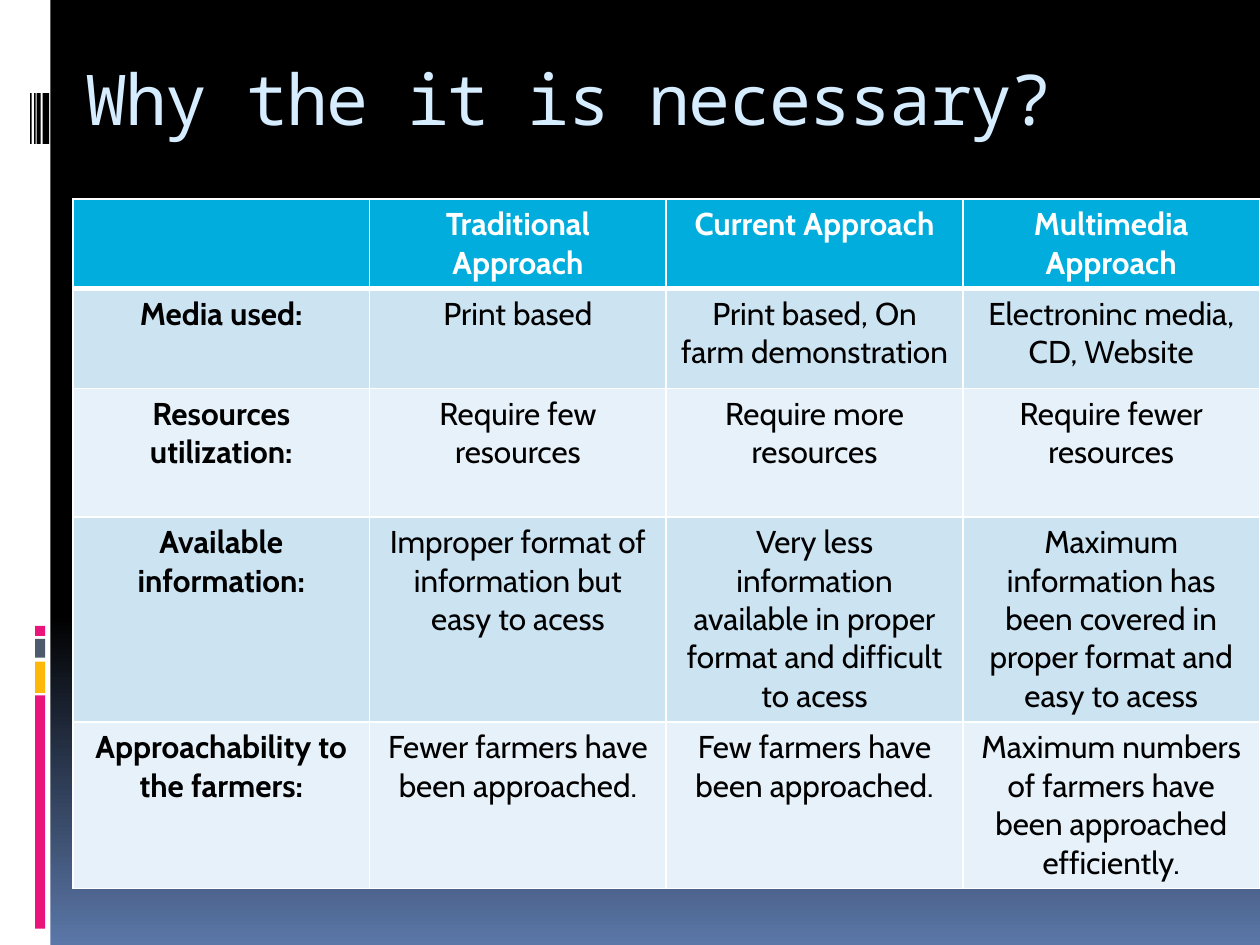
import pptx
import pptx.dml.color
import pptx.enum.shapes
import pptx.enum.text
import pptx.oxml
import pptx.oxml.ns
import pptx.util

Cm = pptx.util.Cm
Pt = pptx.util.Pt
ALIGN = pptx.enum.text.PP_ALIGN

BARS = [
    (0, 0, 1.02, 19.05, "FFFFFF"),
    (0.71, 14.02, 0.2, 4.7, "EA157A"),
    (0.71, 13.34, 0.2, 0.63, "FEB80A"),
    (0.71, 12.88, 0.2, 0.38, "4E5B6F"),
    (0.71, 12.62, 0.2, 0.2, "EA157A"),
]
TICKS = [(0.86, 0.13), (0.74, 0.08), (0.69, 0.03), (0.61, 0.03)]
ROWS = [
    ["", "Traditional Approach", "Current Approach", "Multimedia Approach"],
    ["Media used:", "Print based", "Print based, On farm demonstration",
     "Electroninc media, CD, Website"],
    ["Resources utilization:", "Require few resources",
     "Require more resources", "Require fewer resources"],
    ["Available information:",
     "Improper format of information but easy to acess",
     "Very less information available in proper format and difficult to acess",
     "Maximum information has been covered in proper format and easy to acess"],
    ["Approachability to the farmers:", "Fewer farmers have been approached.",
     "Few farmers have been approached.",
     "Maximum numbers of farmers have been approached efficiently."],
]
HEIGHTS = [1.81, 2.01, 2.59, 4.14, 3.35]


def color(code):
    return pptx.dml.color.RGBColor.from_string(code)


def write(frame, text, font="Cabin", size=18, ink="000000", bold=False,
          align=ALIGN.LEFT, space=0):
    para = frame.paragraphs[0]
    para.alignment = align
    run = para.add_run()
    run.text = text
    run.font.name = font
    run.font.size = Pt(size)
    run.font.bold = bold
    run.font.color.rgb = color(ink)
    if space:
        run.font._element.set("spc", str(space * 100))


class Page:
    head = "00ADDC"
    bands = ["E7F1F9", "CCE3F2"]
    edge = "FFFFFF"

    def __init__(self, slide):
        self.slide = slide

    def backdrop(self, top, base):
        fill = self.slide.background.fill
        fill.gradient()
        fill.gradient_angle = 270
        for stop, place, code in zip(fill.gradient_stops, (0.65, 1), (top, base)):
            stop.position = place
            stop.color.rgb = color(code)

    def bar(self, x, y, wide, high, code):
        shape = self.slide.shapes.add_shape(
            pptx.enum.shapes.MSO_SHAPE.RECTANGLE, Cm(x), Cm(y), Cm(wide), Cm(high))
        shape.shadow.inherit = False
        shape.fill.solid()
        shape.fill.fore_color.rgb = color(code)
        shape.line.fill.background()

    def title(self, text, x, y, wide, high):
        frame = self.slide.shapes.add_textbox(Cm(x), Cm(y), Cm(wide), Cm(high)).text_frame
        frame.word_wrap = True
        frame.margin_top = Cm(0.05)
        write(frame, text, font="Noto Sans Mono", size=40, ink="D6ECFF", space=-1)

    def border(self, cell, base):
        props = cell._tc.get_or_add_tcPr()
        for side, width in (("L", 1), ("R", 1), ("T", 1), ("B", base)):
            props.append(pptx.oxml.parse_xml(
                f'<a:ln{side} {pptx.oxml.ns.nsdecls("a")} w="{Pt(width)}">'
                f'<a:solidFill><a:srgbClr val="{self.edge}"/></a:solidFill></a:ln{side}>'))

    def table(self, rows, heights, x, y, wide):
        count = len(rows[0])
        grid = self.slide.shapes.add_table(
            len(rows), count, Cm(x), Cm(y), Cm(wide), Cm(sum(heights))).table
        for col in grid.columns:
            col.width = Cm(wide / count)
        for i, (row, high) in enumerate(zip(rows, heights)):
            grid.rows[i].height = Cm(high)
            for j, text in enumerate(row):
                cell = grid.cell(i, j)
                self.border(cell, 1 if i else 3)
                cell.fill.solid()
                cell.fill.fore_color.rgb = color(self.bands[i % 2] if i else self.head)
                if text:
                    write(cell.text_frame, text, ink="000000" if i else "FFFFFF",
                          bold=i == 0 or j == 0, align=ALIGN.CENTER)


def main():
    deck = pptx.Presentation()
    deck.slide_width = Cm(25.4)
    deck.slide_height = Cm(19.05)
    page = Page(deck.slides.add_slide(deck.slide_layouts[6]))
    page.backdrop("000000", "5B77A8")
    for bar in BARS:
        page.bar(*bar)
    for x, wide in TICKS:
        page.bar(x, 1.88, wide, 1.02, "000000")
    page.title("Why the it is necessary?", 1.47, 1.07, 21.59, 2.54)
    page.table(ROWS, HEIGHTS, 1.47, 4.01, 23.92)
    deck.save("out.pptx")


if __name__ == "__main__":
    main()
